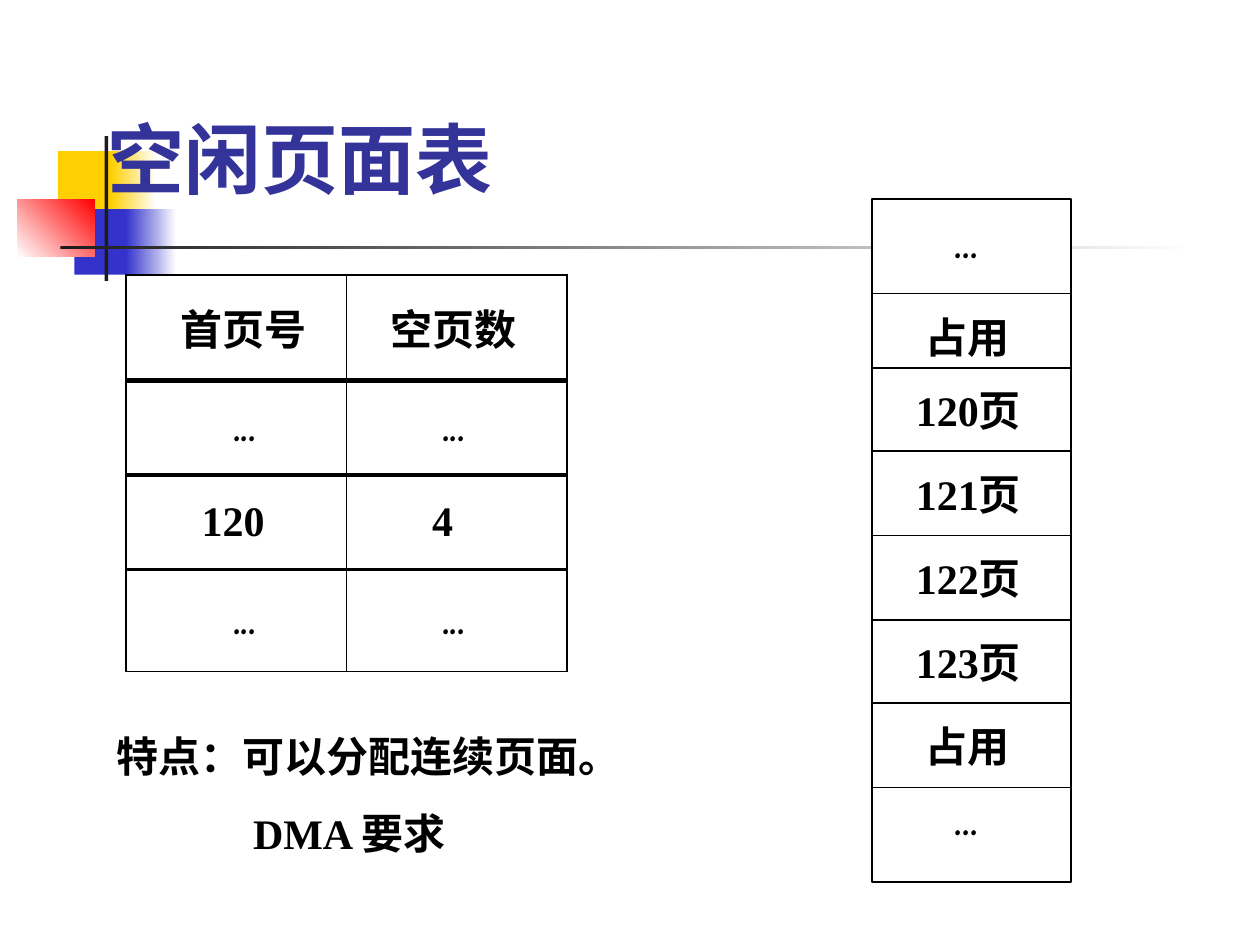
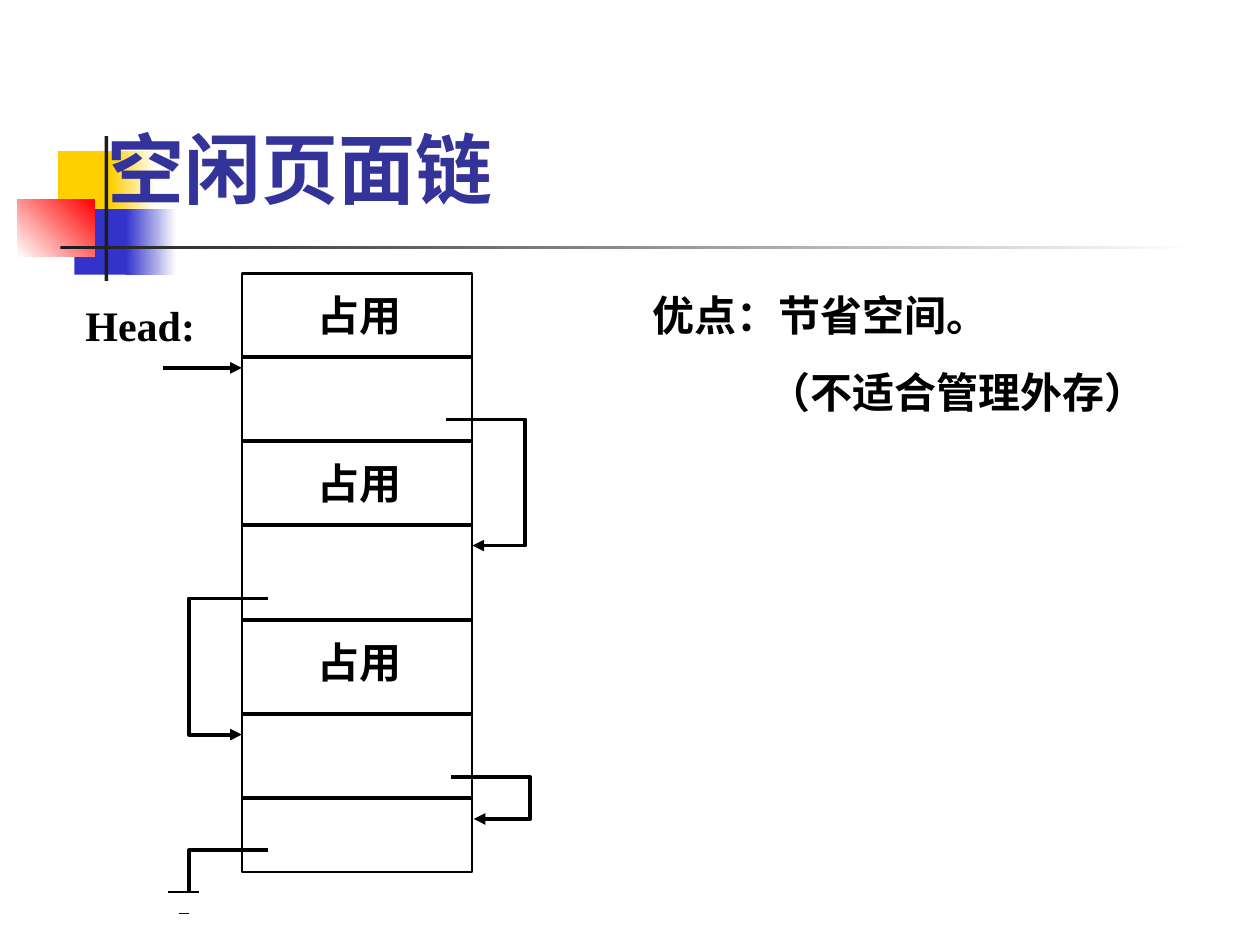
"""Build two slides about managing free memory pages: a table and a linked chain."""
from lxml.etree import SubElement
from pptx import Presentation
from pptx.dml.color import RGBColor
from pptx.enum.shapes import MSO_CONNECTOR, MSO_SHAPE
from pptx.enum.text import MSO_ANCHOR, MSO_AUTO_SIZE, PP_ALIGN
from pptx.oxml import parse_xml
from pptx.oxml.ns import nsdecls, qn
from pptx.util import Inches, Pt

BLACK = RGBColor(0x00, 0x00, 0x00)
WHITE = RGBColor(0xFF, 0xFF, 0xFF)
CHARCOAL = RGBColor(0x1C, 0x1C, 0x1C)
YELLOW = RGBColor(0xFF, 0xCF, 0x01)
BLUE = RGBColor(0x33, 0x33, 0xCC)
RED = RGBColor(0xFF, 0x00, 0x00)
TITLE_BLUE = RGBColor(0x33, 0x33, 0x99)
TITLE_FONT = "Cabin"
TEXT_FONT = "Times New Roman"
DOTS_FONT = "Comic Neue"
DOTS = "..."


def write_text(frame, text, size=24, font=None, color=BLACK):
    frame.text = text
    for para in frame.paragraphs:
        para.alignment = PP_ALIGN.LEFT
        for span in para.runs:
            span.font.size = Pt(size)
            span.font.bold = True
            span.font.name = font or (DOTS_FONT if text == DOTS else TEXT_FONT)
            span.font.color.rgb = color


def draw_route(page, points, weight, arrow=False):
    corners = [(Inches(x), Inches(y)) for x, y in points]
    if len(corners) == 2:
        route = page.shapes.add_connector(MSO_CONNECTOR.STRAIGHT, *corners[0], *corners[1])
    else:
        builder = page.shapes.build_freeform(*corners[0])
        builder.add_line_segments(corners[1:], close=False)
        route = builder.convert_to_shape()
        route.fill.background()
    route.line.color.rgb = BLACK
    route.line.width = Pt(weight)
    properties = route.element.spPr
    if arrow:
        SubElement(properties.find(qn("a:ln")), qn("a:tailEnd"), type="triangle")
    SubElement(properties, qn("a:effectLst"))


deck = Presentation()
deck.slide_width = Inches(10)
deck.slide_height = Inches(7.5)
layout = deck.slide_layouts[5]
table_page = deck.slides.add_slide(layout)
chain_page = deck.slides.add_slide(layout)

decorations = [
    (0.46, 1.2, 0.48, 0.52, [YELLOW], 0),
    (0.88, 1.2, 0.36, 0.52, [YELLOW, WHITE], 0),
    (0.59, 1.66, 0.46, 0.52, [BLUE], 0),
    (1, 1.66, 0.4, 0.52, [BLUE, WHITE], 0),
    (0.14, 1.58, 0.61, 0.46, [WHITE, RED], 45),
    (0.83, 1.08, 0.03, 1.15, [CHARCOAL], 0),
    (0.48, 1.95, 9, 0.03, [CHARCOAL, WHITE], 0),
]
for number, (left, top, width, height, colors, angle) in enumerate(decorations, start=20):
    block = table_page.shapes.add_shape(
        MSO_SHAPE.RECTANGLE, Inches(left), Inches(top), Inches(width), Inches(height))
    block.shadow.inherit = False
    block.line.fill.background()
    if len(colors) == 1:
        block.fill.solid()
        block.fill.fore_color.rgb = colors[0]
    else:
        block.fill.gradient()
        block.fill.gradient_angle = angle
        for stop, color in zip(block.fill.gradient_stops, colors):
            stop.color.rgb = color
    block.element.nvSpPr.cNvPr.id = number
    layout.shapes.element.append(block.element)

for page, text, top in [(table_page, "空闲页面表", 0.42), (chain_page, "空闲页面链", 0.5)]:
    title = page.shapes.title
    title.left, title.top = Inches(0.75), Inches(top)
    title.width, title.height = Inches(8.5), Inches(1.25)
    write_text(title.text_frame, text, 44, TITLE_FONT, TITLE_BLUE)
    title.text_frame.vertical_anchor = MSO_ANCHOR.BOTTOM
    title.text_frame.auto_size = MSO_AUTO_SIZE.NONE

table_rows = [
    [("首页号", 0.43), ("空页数", 0.35)],
    [(DOTS, 0.85), (DOTS, 0.76)],
    [("120", 0.6), ("4", 0.68)],
    [(DOTS, 0.85), (DOTS, 0.76)],
]
row_heights = [0.84, 0.75, 0.75, 0.81]
row_rules = [1.25, 3, 2.25, 2.25, 1.25]
column_rules = [1.25, 0.75, 1.25]
free_table = table_page.shapes.add_table(
    4, 2, Inches(1), Inches(2.18), Inches(3.5), Inches(3.15)).table
free_table.first_row = False
free_table.horz_banding = False
for row, cells in enumerate(table_rows):
    free_table.rows[row].height = Inches(row_heights[row])
    for column, (text, indent) in enumerate(cells):
        cell = free_table.cell(row, column)
        write_text(cell.text_frame, text)
        cell.margin_left = Inches(indent)
        cell.margin_right = 0
        cell.vertical_anchor = MSO_ANCHOR.MIDDLE
        cell.fill.solid()
        cell.fill.fore_color.rgb = WHITE
        edges = [("lnL", column_rules[column]), ("lnR", column_rules[column + 1]),
                 ("lnT", row_rules[row]), ("lnB", row_rules[row + 1])]
        for position, (tag, weight) in enumerate(edges):
            cell.fill._xPr.insert(position, parse_xml(
                f'<a:{tag} {nsdecls("a")} w="{Pt(weight)}"><a:solidFill>'
                f'<a:srgbClr val="{BLACK}"/></a:solidFill></a:{tag}>'))

stacks = [
    (table_page, 6.92, 1.58, 1.58, 5.42, 0.75, [2.33, 2.92, 3.58, 4.25, 4.92, 5.58, 6.25]),
    (chain_page, 1.92, 2.17, 1.83, 4.75, 2.25, [2.83, 3.5, 4.17, 4.92, 5.67, 6.33]),
]
for page, left, top, width, height, weight, dividers in stacks:
    memory = page.shapes.add_shape(
        MSO_SHAPE.RECTANGLE, Inches(left), Inches(top), Inches(width), Inches(height))
    memory.shadow.inherit = False
    memory.fill.solid()
    memory.fill.fore_color.rgb = WHITE
    memory.line.color.rgb = BLACK
    memory.line.width = Pt(1.25)
    for y in dividers:
        draw_route(page, [(left, y), (left + width, y)], weight)

chain_links = [
    [(3.54, 3.33), (4.17, 3.33), (4.17, 4.33), (3.75, 4.33)],
    [(2.13, 4.75), (1.5, 4.75), (1.5, 5.83), (1.92, 5.83)],
    [(3.58, 6.17), (4.21, 6.17), (4.21, 6.5), (3.76, 6.5)],
    [(1.29, 2.92), (1.92, 2.92)],
]
for link in chain_links:
    draw_route(chain_page, link, 2.25, arrow=True)
draw_route(chain_page, [(2.13, 6.75), (1.5, 6.75), (1.5, 7.08)], 2.25)
draw_route(chain_page, [(1.33, 7.08), (1.58, 7.08)], 0.75)
draw_route(chain_page, [(1.42, 7.25), (1.5, 7.25)], 0.75)

labels = [
    (table_page, 0.83, 5.75, 4.25, "特点：可以分配连续页面。\nDMA 要求", 1.08),
    (table_page, 7.48, 1.67, 0.94, DOTS, 0),
    (table_page, 7.25, 2.42, 1, "占用", 0),
    *[(table_page, 7.17, 3 + index * 2 / 3, 1.17, f"{120 + index}页", 0) for index in range(4)],
    (table_page, 7.25, 5.67, 1, "占用", 0),
    (table_page, 7.48, 6.25, 0.94, DOTS, 0),
    *[(chain_page, 2.42, top, 0.92, "占用", 0) for top in (2.25, 3.58, 5)],
    (chain_page, 0.58, 2.33, 1.08, "Head:", 0),
    (chain_page, 5.08, 2.25, 4.33, "优点：节省空间。\n（不适合管理外存）", 0.92),
]
for page, left, top, width, text, indent in labels:
    height = 1.11 if "\n" in text else 0.5
    box = page.shapes.add_textbox(Inches(left), Inches(top), Inches(width), Inches(height))
    box.text_frame.word_wrap = True
    box.text_frame.auto_size = MSO_AUTO_SIZE.SHAPE_TO_FIT_TEXT
    write_text(box.text_frame, text)
    for para in box.text_frame.paragraphs:
        para.space_before = Pt(15)
    if indent:
        para._p.get_or_add_pPr().set("marL", str(Inches(indent)))

deck.save("out.pptx")
